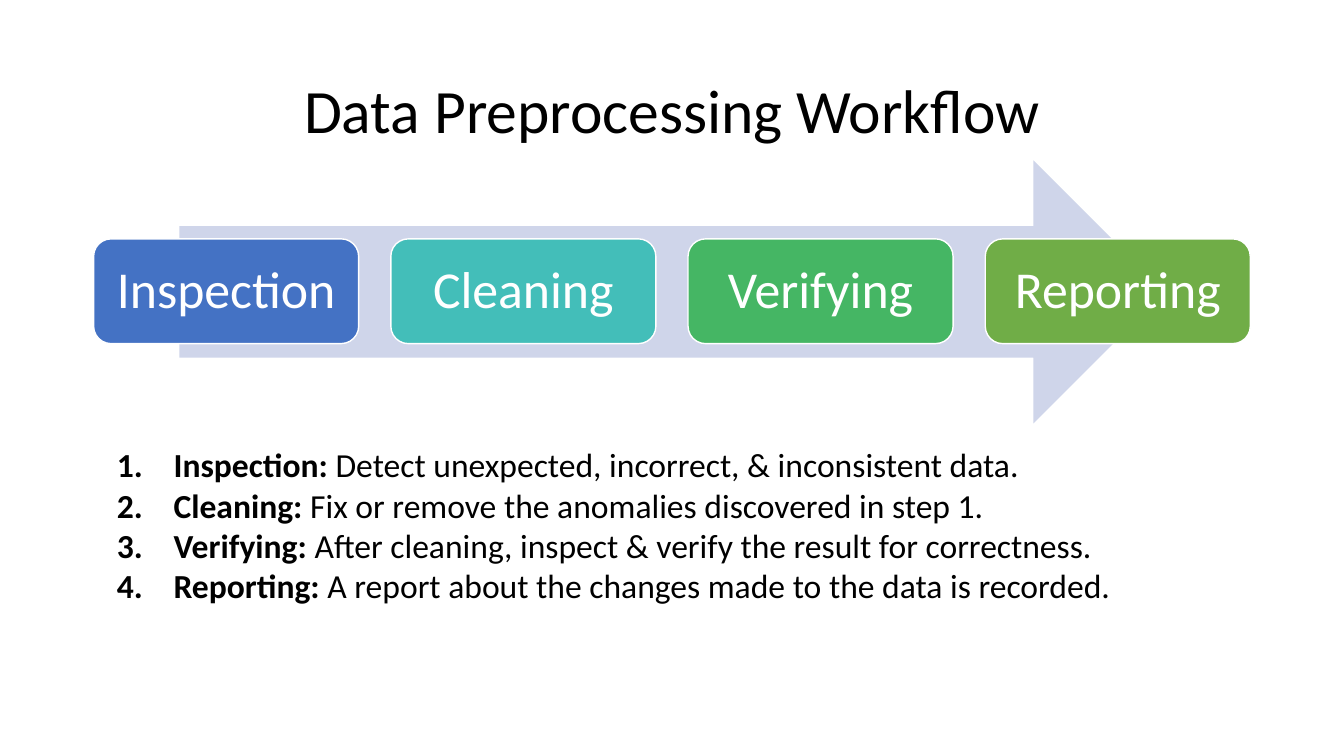
from dataclasses import dataclass

from lxml.etree import SubElement
from pptx import Presentation
from pptx.dml.color import RGBColor
from pptx.enum.shapes import MSO_SHAPE
from pptx.enum.text import MSO_ANCHOR, MSO_AUTO_SIZE, PP_ALIGN
from pptx.oxml.ns import qn
from pptx.util import Cm, Pt


@dataclass(frozen=True)
class Theme:
    font: str = "Calibri"
    ink: str = "000000"
    light: str = "FFFFFF"
    arrow: str = "CFD5EA"
    steps: tuple = ("4472C4", "43BEB9", "45B664", "70AD47")
    title: int = 44
    label: int = 37
    body: int = 24


THEME = Theme()
STEPS = (
    ("Inspection", "Detect unexpected, incorrect, & inconsistent data."),
    ("Cleaning", "Fix or remove the anomalies discovered in step 1."),
    ("Verifying", "After cleaning, inspect & verify the result for correctness."),
    ("Reporting", "A report about the changes made to the data is recorded."),
)


def style(run, size, color, bold=False):
    font = run.font
    font.name = THEME.font
    font.size = Pt(size)
    font.bold = bold
    font.color.rgb = RGBColor.from_string(color)


def place(shape, left, top, width, height):
    shape.left, shape.top = Cm(left), Cm(top)
    shape.width, shape.height = Cm(width), Cm(height)


def add_title(slide, text):
    title = slide.shapes.title
    place(title, 2.34, 1.02, 29.21, 3.68)
    frame = title.text_frame
    frame.text = text
    frame.auto_size = MSO_AUTO_SIZE.NONE
    frame.vertical_anchor = MSO_ANCHOR.MIDDLE
    para = frame.paragraphs[0]
    para.alignment = PP_ALIGN.CENTER
    para.line_spacing = 0.9
    style(para.runs[0], THEME.title, THEME.ink)


def add_block(slide, kind, box, color):
    shape = slide.shapes.add_shape(kind, *map(Cm, box))
    shape.shadow.inherit = False
    shape.fill.solid()
    shape.fill.fore_color.rgb = RGBColor.from_string(color)
    shape.line.fill.background()
    return shape


def add_step(slide, index, name):
    box = (2.36 + index * 7.49, 6.02, 6.68, 2.64)
    shape = add_block(slide, MSO_SHAPE.ROUNDED_RECTANGLE, box, THEME.steps[index])
    shape.line.color.rgb = RGBColor.from_string(THEME.light)
    shape.line.width = Pt(1)
    frame = shape.text_frame
    frame.text = name
    frame.word_wrap = False
    frame.vertical_anchor = MSO_ANCHOR.MIDDLE
    para = frame.paragraphs[0]
    para.alignment = PP_ALIGN.CENTER
    para.line_spacing = 0.9
    style(para.runs[0], THEME.label, THEME.light)


def number(para):
    props = para._p.get_or_add_pPr()
    props.set("marL", str(Cm(1.43)))
    props.set("indent", str(-Cm(1.43)))
    SubElement(props, qn("a:buFont"), typeface="+mj-lt")
    SubElement(props, qn("a:buAutoNum"), type="arabicPeriod")


def add_list(slide, items):
    body = slide.placeholders[1]
    place(body, 2.69, 11.07, 28.85, 5.74)
    frame = body.text_frame
    frame.text = "\n".join(f"{name}: " for name, note in items)
    frame.auto_size = MSO_AUTO_SIZE.NONE
    frame.vertical_anchor = MSO_ANCHOR.TOP
    for para, (name, note) in zip(frame.paragraphs, items):
        para.space_before = Pt(0)
        para.alignment = PP_ALIGN.LEFT
        number(para)
        style(para.runs[0], THEME.body, THEME.ink, True)
        run = para.add_run()
        run.text = note
        style(run, THEME.body, THEME.ink)


def main():
    deck = Presentation()
    deck.slide_width, deck.slide_height = Cm(33.87), Cm(19.05)
    slide = deck.slides.add_slide(deck.slide_layouts[1])
    add_title(slide, "Data Preprocessing Workflow")
    add_block(slide, MSO_SHAPE.RIGHT_ARROW, (4.52, 4.04, 24.84, 6.63), THEME.arrow)
    for index, (name, note) in enumerate(STEPS):
        add_step(slide, index, name)
    add_list(slide, STEPS)
    deck.save("out.pptx")


if __name__ == "__main__":
    main()
